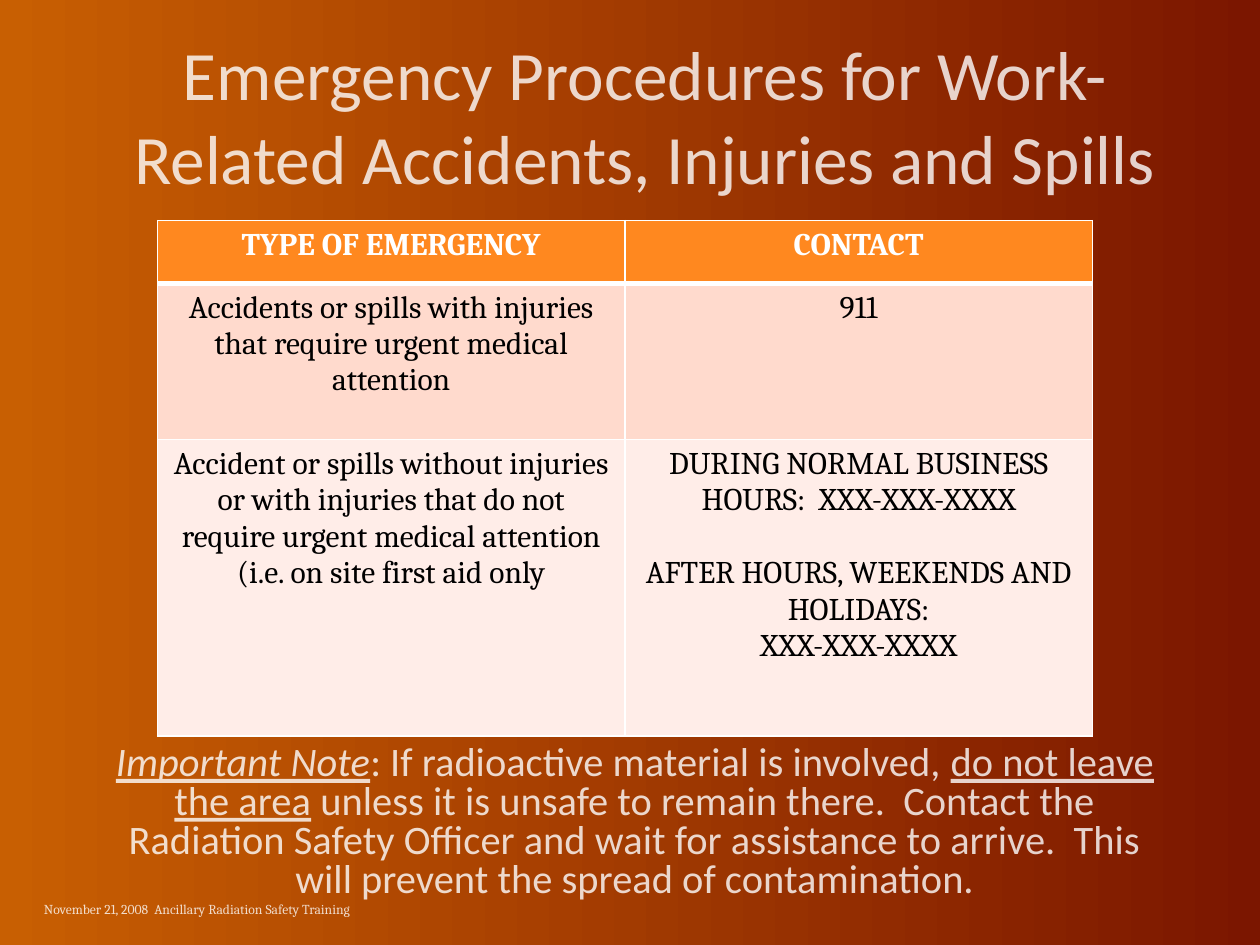
import pptx
import pptx.dml.color
import pptx.enum.text
import pptx.oxml
import pptx.oxml.ns
import pptx.util
from dataclasses import dataclass

Inches = pptx.util.Inches
Pt = pptx.util.Pt
RGB = pptx.dml.color.RGBColor.from_string
Align = pptx.enum.text.PP_ALIGN
Anchor = pptx.enum.text.MSO_ANCHOR
NS = pptx.oxml.ns.nsdecls("a")


@dataclass(frozen=True)
class Theme:
    left: str = "C85F02"
    right: str = "7B1600"
    white: str = "FFFFFF"
    black: str = "000000"
    head: str = "FF881F"
    bands: tuple = ("FFDACD", "FFEDE8")
    fade: tuple = ((0, 70), (50, 80), (100, 90))
    sans: str = "Calibri"
    serif: str = "Cambria"
    title: float = 39.6
    note: float = 23.1
    cell: float = 18
    foot: float = 7.8
    gap: float = 21


class Deck:
    """Draws styled elements on the current slide."""

    def __init__(self, theme):
        self.theme = theme
        self.file = pptx.Presentation()
        self.file.slide_width, self.file.slide_height = Inches(10), Inches(7.5)
        self.slide = self.file.slides.add_slide(self.file.slide_layouts[6])

    def ground(self):
        fill = self.slide.background.fill
        fill.gradient()
        fill.gradient_angle = 0
        for stop, tone in zip(fill.gradient_stops, (self.theme.left, self.theme.right)):
            stop.color.rgb = RGB(tone)

    def run(self, para, text, size, face, tone=None, bold=False, slant=False, under=False):
        run = para.add_run()
        run.text = text
        font = run.font
        font.size, font.name, font.bold = Pt(size), face, bold
        font.italic, font.underline = slant, under
        if tone:
            font.color.rgb = RGB(tone)
        else:
            self.fade(run)

    def fade(self, run):
        stops = "".join(
            f'<a:gs pos="{pos * 1000}"><a:srgbClr val="{self.theme.white}">'
            f'<a:alpha val="{alpha * 1000}"/></a:srgbClr></a:gs>'
            for pos, alpha in self.theme.fade
        )
        fill = f'<a:gradFill {NS}><a:gsLst>{stops}</a:gsLst><a:lin ang="0" scaled="0"/></a:gradFill>'
        run.font._element.insert(0, pptx.oxml.parse_xml(fill))

    def text(self, place, runs, size, face, align=Align.CENTER, space=None):
        frame = self.slide.shapes.add_textbox(*map(Inches, place)).text_frame
        frame.word_wrap = True
        frame.vertical_anchor = Anchor.BOTTOM
        para = frame.paragraphs[0]
        para.alignment = align
        if space:
            para.line_spacing = space
        for words, style in runs:
            self.run(para, words, size, face, **style)

    def edge(self, cell, side, width):
        line = (
            f'<a:{side} {NS} w="{Pt(width)}"><a:solidFill>'
            f'<a:srgbClr val="{self.theme.white}"/></a:solidFill></a:{side}>'
        )
        cell._tc.get_or_add_tcPr().append(pptx.oxml.parse_xml(line))

    def cell(self, cell, lines, row):
        head = row == 0
        widths = {"lnL": 1, "lnR": 1, "lnT": 3 if row == 1 else 1, "lnB": 3 if head else 1}
        for side, width in widths.items():
            self.edge(cell, side, width)
        cell.fill.solid()
        cell.fill.fore_color.rgb = RGB(self.theme.head if head else self.theme.bands[row - 1])
        tone = self.theme.white if head else self.theme.black
        frame = cell.text_frame
        for spot, (words, gap) in enumerate(lines):
            para = frame.add_paragraph() if spot else frame.paragraphs[0]
            para.alignment = Align.CENTER
            if gap:
                para.space_before = Pt(gap)
            self.run(para, words, self.theme.cell, self.theme.serif, tone, bold=head)

    def table(self, place, rows, highs):
        grid = self.slide.shapes.add_table(len(rows), len(rows[0]), *map(Inches, place)).table
        for row, (cells, high) in enumerate(zip(rows, highs)):
            grid.rows[row].height = Inches(high)
            for col, lines in enumerate(cells):
                self.cell(grid.cell(row, col), lines, row)


def main():
    theme = Theme()
    deck = Deck(theme)
    deck.ground()
    title = "Emergency Procedures for Work-Related Accidents, Injuries and Spills"
    deck.text((0.83, 0, 8.58, 1.62), [(title, {})], theme.title, theme.sans)
    rows = [
        ([("TYPE OF EMERGENCY", 0)], [("CONTACT", 0)]),
        (
            [("Accidents or spills with injuries that require urgent medical attention", 0)],
            [("911", 0)],
        ),
        (
            [("Accident or spills without injuries or with injuries that do not "
              "require urgent medical attention (i.e. on site first aid only", 0)],
            [
                ("DURING NORMAL BUSINESS HOURS:  XXX-XXX-XXXX", 0),
                ("AFTER HOURS, WEEKENDS AND HOLIDAYS:", theme.gap),
                ("XXX-XXX-XXXX", 0),
            ],
        ),
    ]
    deck.table((1.25, 1.75, 7.42, 4.09), rows, (0.5, 1.24, 2.35))
    note = [
        ("Important Note", {"slant": True, "under": True}),
        (": If radioactive material is involved, ", {}),
        ("do not leave the area", {"under": True}),
        (" unless it is unsafe to remain there.  Contact the Radiation Safety Officer and wait "
         "for assistance to arrive.  This will prevent the spread of contamination.", {}),
    ]
    deck.text((0.75, 5.58, 8.58, 1.62), note, theme.note, theme.sans, space=0.8)
    foot = "November 21, 2008  Ancillary Radiation Safety Training"
    deck.text((0.25, 7.08, 3.17, 0.25), [(foot, {})], theme.foot, theme.serif, Align.LEFT)
    deck.file.save("out.pptx")


if __name__ == "__main__":
    main()
